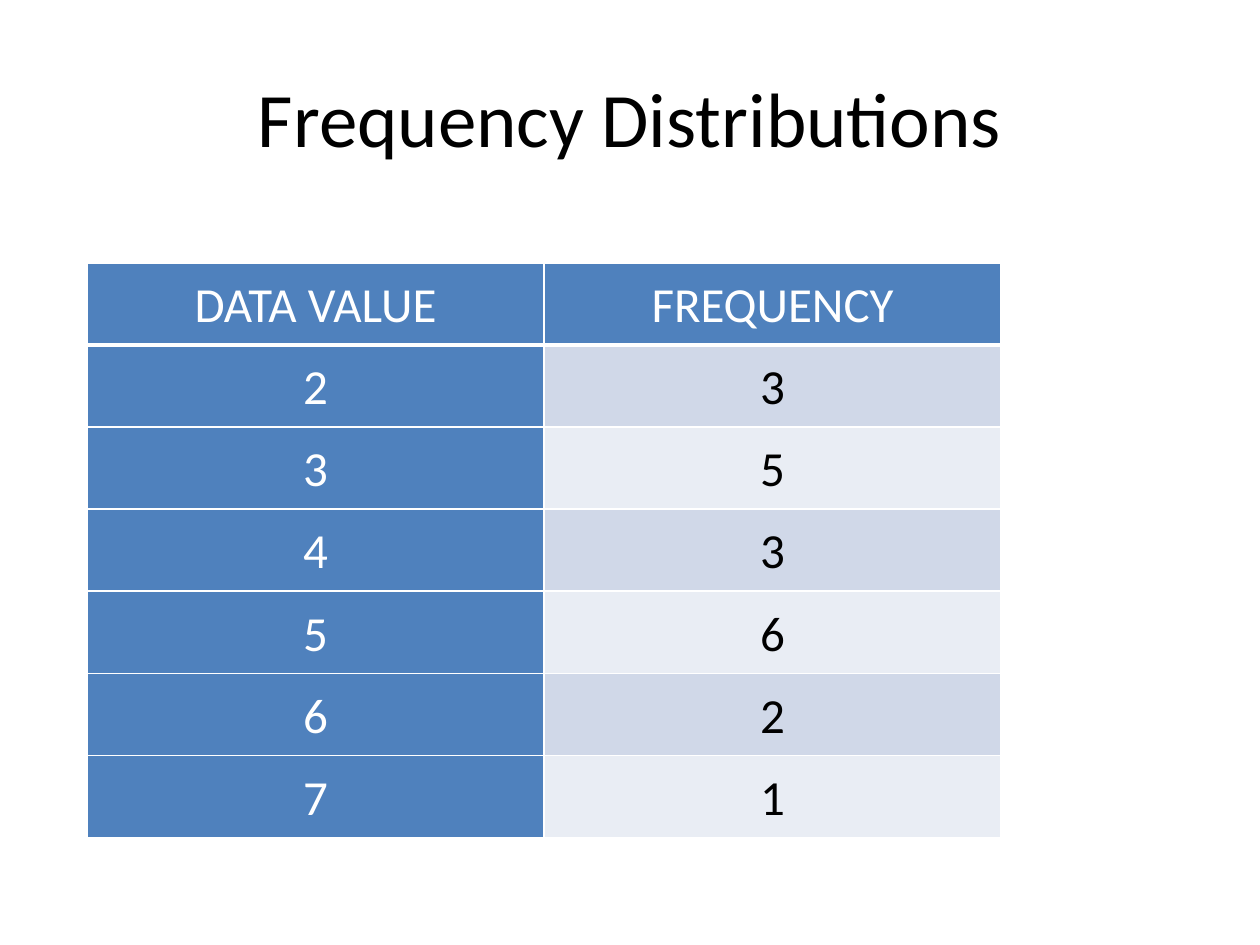
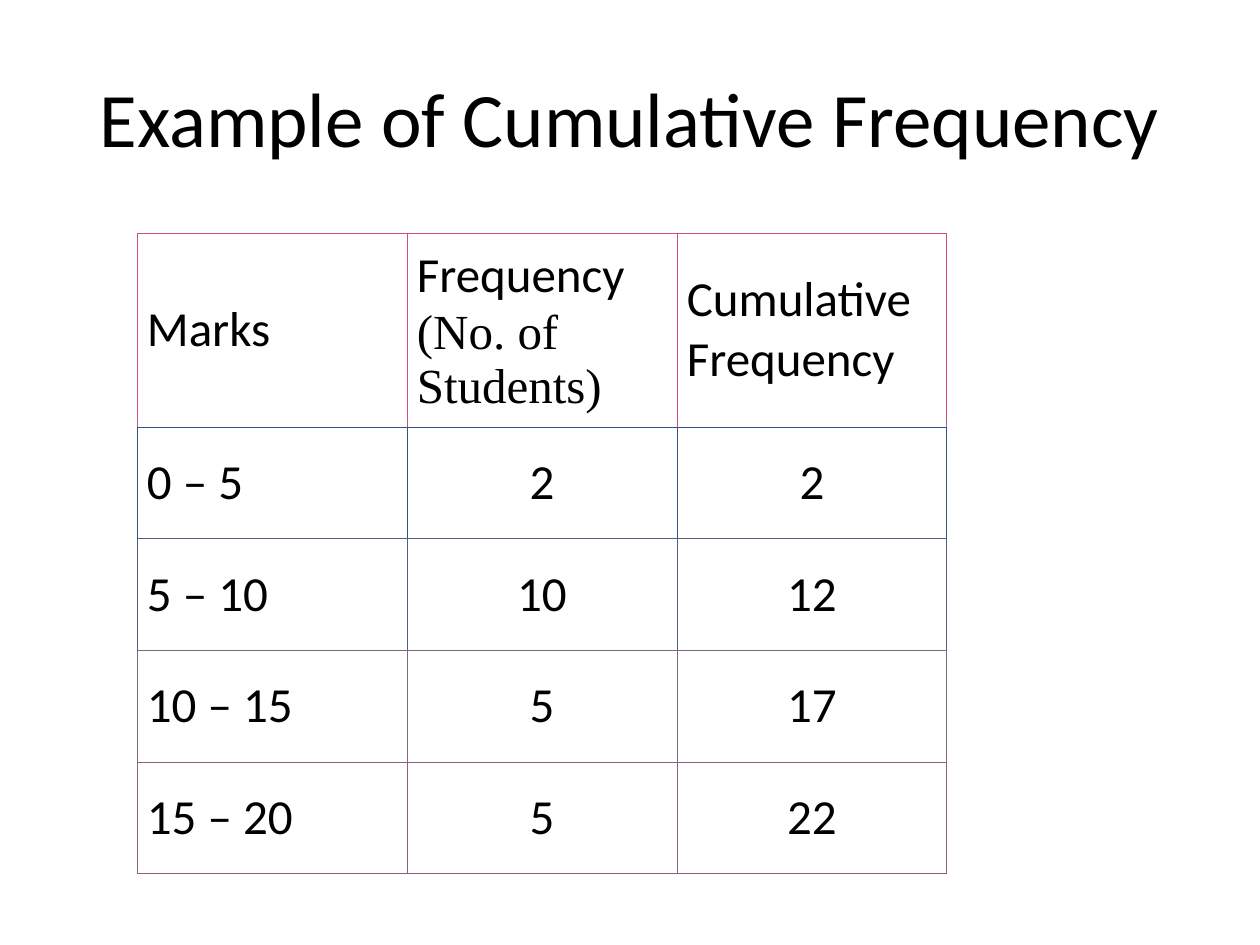
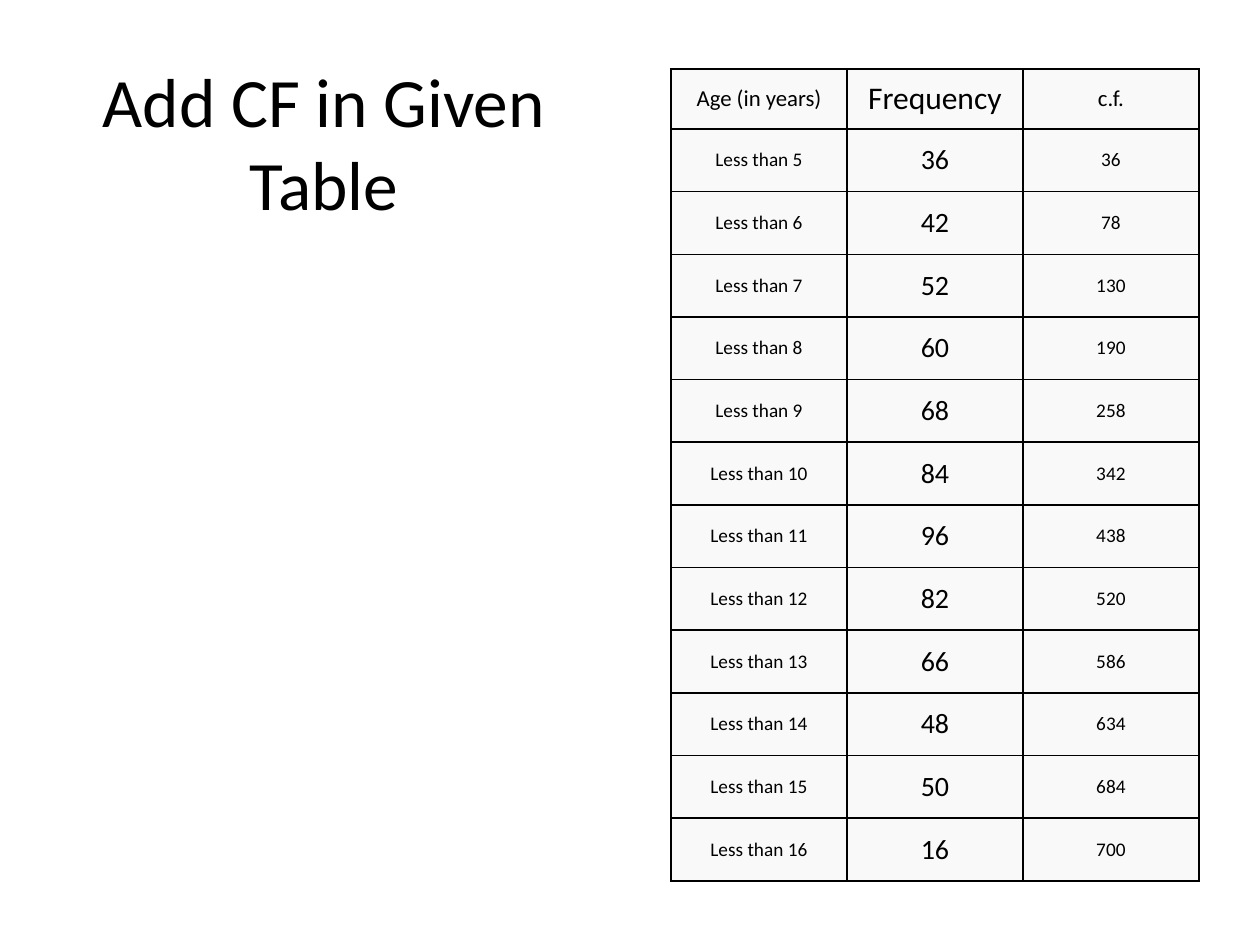
from dataclasses import dataclass, replace
from itertools import accumulate

from lxml.etree import SubElement
from pptx import Presentation
from pptx.dml.color import RGBColor
from pptx.enum.text import MSO_ANCHOR as Anchor, MSO_AUTO_SIZE as AutoSize, PP_ALIGN as Align
from pptx.oxml import parse_xml
from pptx.oxml.ns import nsdecls, qn
from pptx.util import Emu, Pt

PX_PER_INCH = 126
BODY_FONT, SERIF_FONT = "Calibri", "Times New Roman"
BLACK = RGBColor(0x00, 0x00, 0x00)
WHITE = RGBColor(0xFF, 0xFF, 0xFF)
BLUE = RGBColor(0x4F, 0x81, 0xBD)
BANDS = (RGBColor(0xD0, 0xD8, 0xE8), RGBColor(0xE9, 0xED, 0xF4))
PALE_GREY = RGBColor(0xF9, 0xF9, 0xF9)
ROW_RULES = (
    RGBColor(0xD0, 0x51, 0x80),
    RGBColor(0x30, 0x52, 0x80),
    RGBColor(0x50, 0x5C, 0x80),
    RGBColor(0x80, 0x69, 0x7F),
    RGBColor(0x90, 0x5F, 0x7F),
)
TITLE_BOX = (63, 38, 1134, 157)


@dataclass(frozen=True)
class CellLook:
    """Formatting of one table cell; insets are px, sizes and rules are points."""

    fill: RGBColor
    rule: RGBColor
    size: float
    inset: tuple
    ink: RGBColor = BLACK
    align: Align = Align.CENTER
    rule_width: float = 1
    bottom_rule: RGBColor = None
    bottom_width: float = None
    line_spacing: float = 1
    space_after: float = 0


def px(length):
    """Turn a length in px into EMU."""
    return Emu(round(length * 914400 / PX_PER_INCH))


def add_run(paragraph, words, size, ink=BLACK, font=BODY_FONT):
    """Append one formatted run to a paragraph."""
    run = paragraph.add_run()
    run.text = words
    run.font.name, run.font.size, run.font.bold = font, Pt(size), False
    run.font.color.rgb = ink


def add_titled_slide(deck, heading, box=TITLE_BOX, size=44):
    """Add a title-only slide with its heading placed in the box."""
    slide = deck.slides.add_slide(deck.slide_layouts[5])
    title = slide.shapes.title
    title.left, title.top, title.width, title.height = map(px, box)
    frame = title.text_frame
    frame.word_wrap, frame.auto_size = True, AutoSize.NONE
    frame.vertical_anchor = Anchor.MIDDLE
    frame.paragraphs[0].alignment = Align.CENTER
    add_run(frame.paragraphs[0], heading, size)
    return slide


def rule_cell(cell, look):
    """Draw the four rules of a cell."""
    properties = cell._tc.get_or_add_tcPr()
    for position, side in enumerate("LRTB"):
        color, width = look.rule, look.rule_width
        if side == "B":
            color, width = look.bottom_rule or color, look.bottom_width or width
        line = parse_xml(f'<a:ln{side} {nsdecls("a")} w="{Pt(width)}"/>')
        SubElement(SubElement(line, qn("a:solidFill")), qn("a:srgbClr"), val=str(color))
        properties.insert(position, line)


def fill_cell(cell, content, look):
    """Write a cell from lines of (words, font) or a single plain value."""
    lines = content if isinstance(content, list) else [(str(content), BODY_FONT)]
    cell.fill.solid()
    cell.fill.fore_color.rgb = look.fill
    cell.vertical_anchor = Anchor.MIDDLE
    cell.margin_left = cell.margin_right = px(look.inset[0])
    cell.margin_top = cell.margin_bottom = px(look.inset[1])
    rule_cell(cell, look)
    frame = cell.text_frame
    for index, (words, font) in enumerate(lines):
        paragraph = frame.add_paragraph() if index else frame.paragraphs[0]
        paragraph.alignment = look.align
        paragraph.line_spacing = look.line_spacing
        paragraph.space_after = Pt(look.space_after)
        add_run(paragraph, words, look.size, look.ink, font)


def add_grid(slide, box, header_height, rows, look_at):
    """Fill the box with a table of equal columns and equal body rows."""
    width, height = box[2:]
    frame = slide.shapes.add_table(len(rows), len(rows[0]), *map(px, box))
    table = frame.table
    table.first_row = table.horz_banding = False
    for column in table.columns:
        column.width = px(width / len(rows[0]))
    for r, values in enumerate(rows):
        body_height = (height - header_height) / (len(rows) - 1)
        table.rows[r].height = px(body_height if r else header_height)
        for c, value in enumerate(values):
            fill_cell(table.cell(r, c), value, look_at(r, c))


def add_distribution_slide(deck):
    """Build the banded table of data values and frequencies."""
    slide = add_titled_slide(deck, "Frequency Distributions")
    label = CellLook(BLUE, WHITE, 28, (6, 9), WHITE, line_spacing=1.07, space_after=8)

    def look_at(r, c):
        """Give the look of a cell by its place."""
        if r == 0:
            return replace(label, bottom_width=3)
        return replace(label, fill=BANDS[(r - 1) % 2], ink=BLACK) if c else label

    rows = [("DATA VALUE", "FREQUENCY"), *zip(range(2, 8), (3, 5, 3, 6, 2, 1))]
    add_grid(slide, (87, 263, 914, 564), 80, rows, look_at)


def add_cumulative_slide(deck):
    """Build the table of marks with cumulative frequencies."""
    slide = add_titled_slide(deck, "Example of Cumulative Frequency")
    base = CellLook(WHITE, BLACK, 28, (10, 12), rule_width=0.5)

    def look_at(r, c):
        """Give the look of a cell by its place."""
        below = ROW_RULES[min(r + 1, len(ROW_RULES) - 1)]
        align = Align.CENTER if r and c else Align.LEFT
        return replace(base, rule=ROW_RULES[r], bottom_rule=below, align=align)

    students = (2, 10, 5, 5)
    marks = [f"{low} – {low + 5}" for low in range(0, 20, 5)]
    frequency = [("Frequency", BODY_FONT), ("(No. of Students)", SERIF_FONT)]
    header = ("Marks", frequency, "Cumulative Frequency")
    rows = [header, *zip(marks, students, accumulate(students))]
    add_grid(slide, (137, 233, 810, 641), 194, rows, look_at)


def add_exercise_slide(deck):
    """Build the ruled table of ages beside its heading."""
    slide = add_titled_slide(deck, "Add CF in Given Table", (87, 50, 474, 183), 39.6)
    base = CellLook(PALE_GREY, BLACK, 11, (6, 11))

    def look_at(r, c):
        """Give the look of a cell by its place."""
        if r == 0:
            return replace(base, size=18 if c == 1 else 13, inset=(6, 8))
        return replace(base, size=16) if c == 1 else base

    counts = (36, 42, 52, 60, 68, 84, 96, 82, 66, 48, 50, 16)
    ages = [f"Less than {age}" for age in range(5, 17)]
    header = ("Age (in years)", "Frequency", "c.f.")
    rows = [header, *zip(ages, counts, accumulate(counts))]
    add_grid(slide, (671, 69, 528, 812), 60, rows, look_at)


def main():
    """Build and save the three slides."""
    deck = Presentation()
    deck.slide_width, deck.slide_height = px(1260), px(945)
    add_distribution_slide(deck)
    add_cumulative_slide(deck)
    add_exercise_slide(deck)
    deck.save("out.pptx")


if __name__ == "__main__":
    main()
